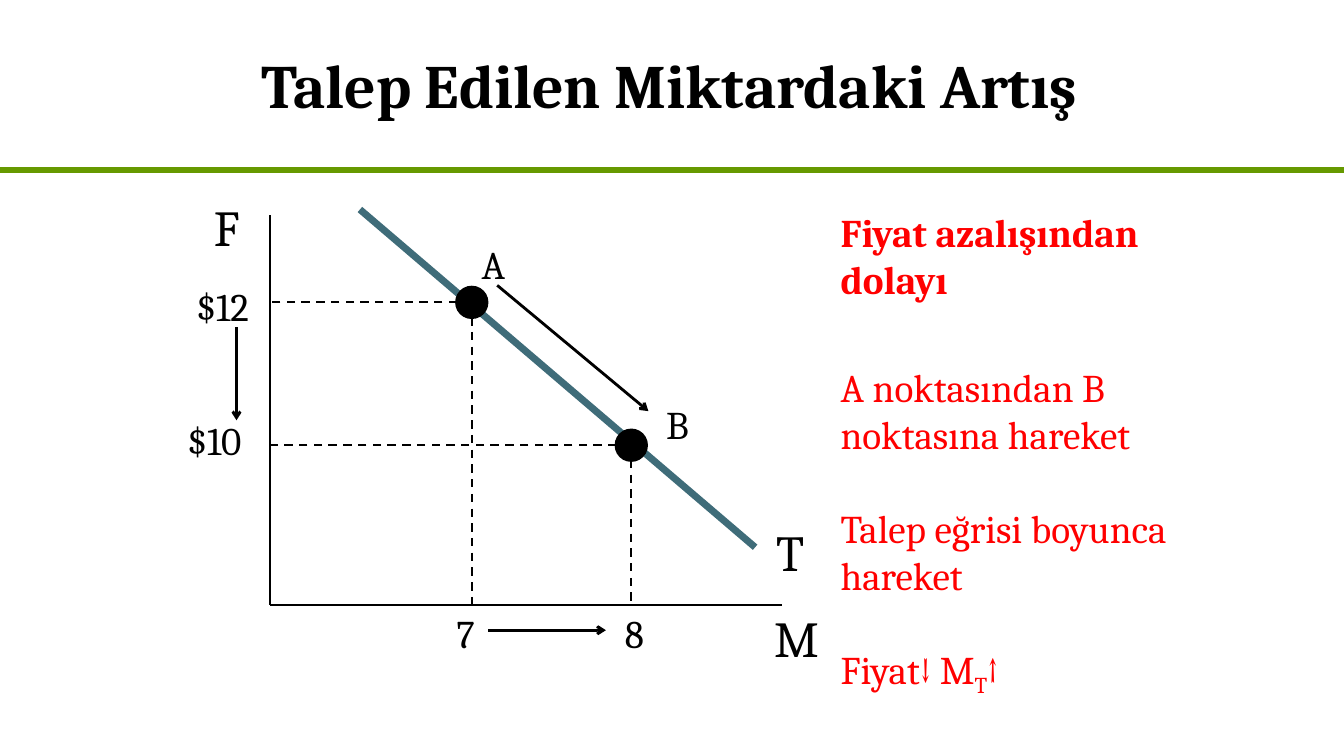
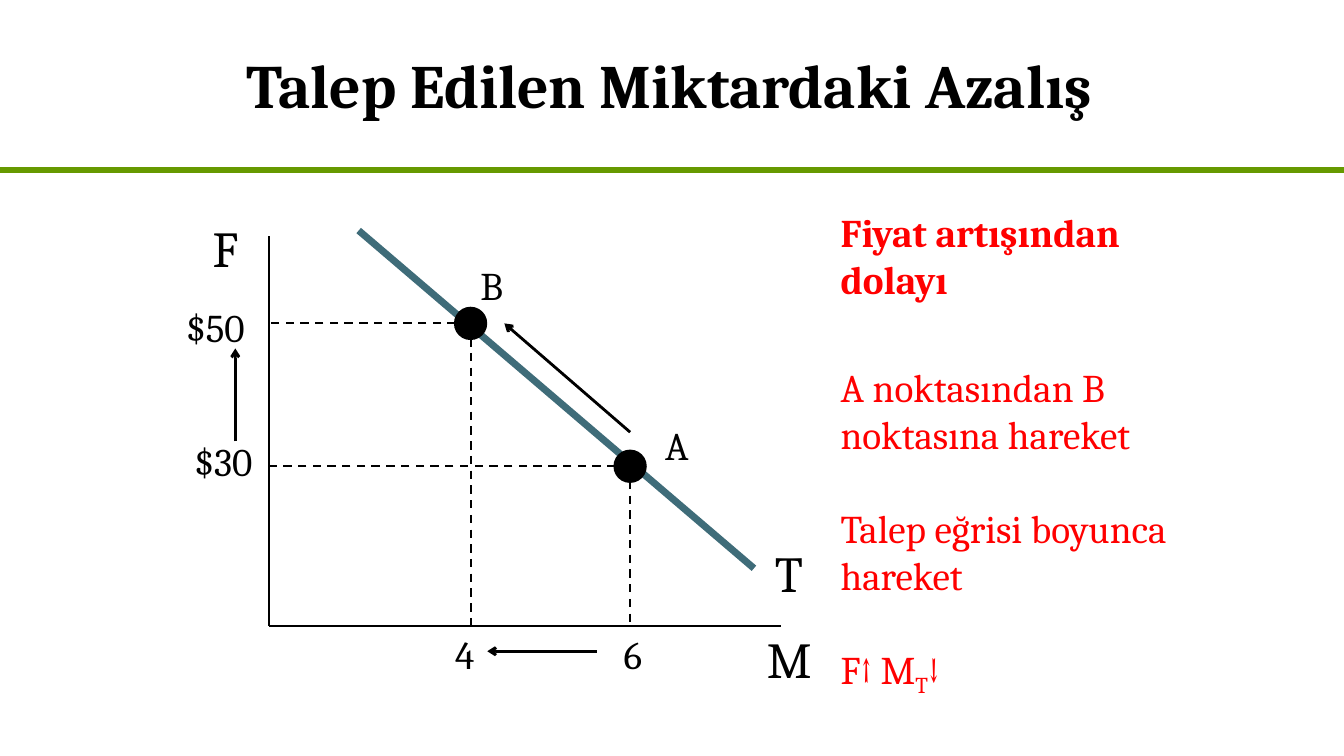
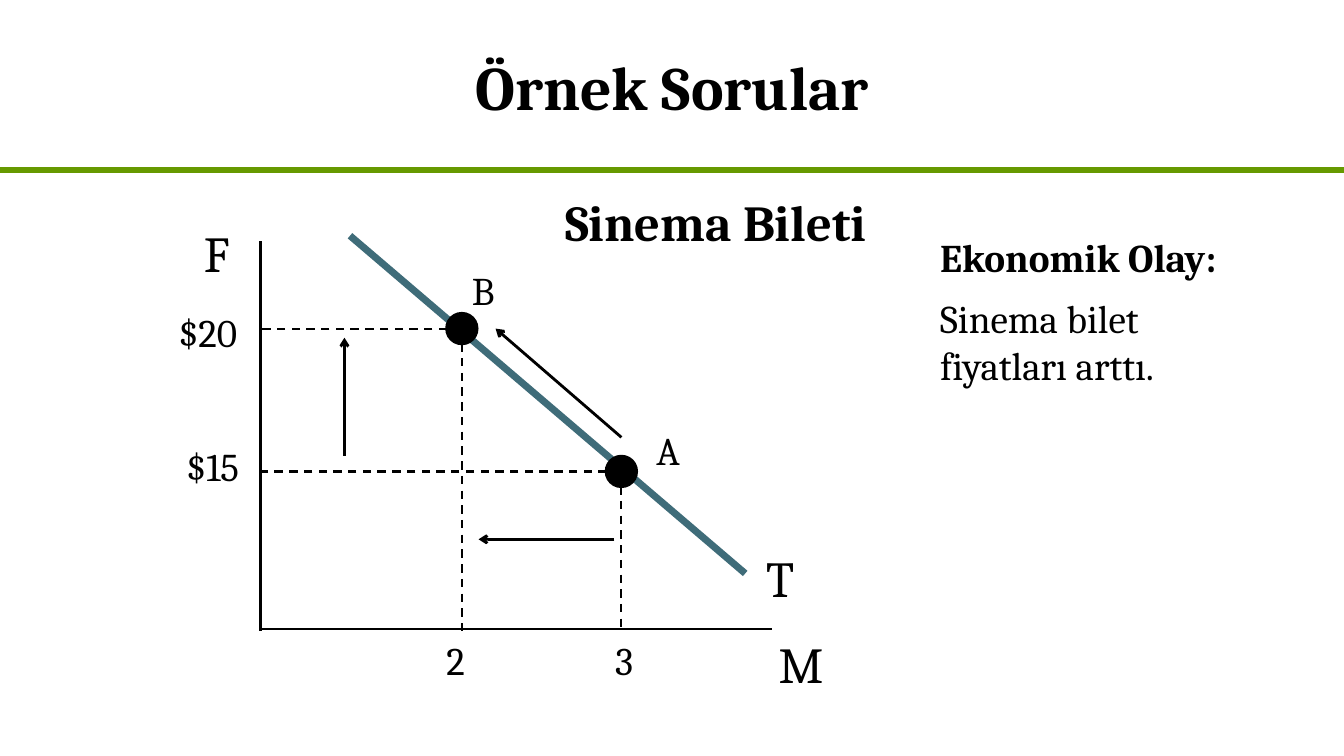
from dataclasses import dataclass

from lxml import etree
from pptx import Presentation
from pptx.dml.color import RGBColor
from pptx.enum.dml import MSO_LINE
from pptx.enum.shapes import MSO_CONNECTOR, MSO_SHAPE
from pptx.enum.text import MSO_ANCHOR, MSO_AUTO_SIZE, PP_ALIGN
from pptx.oxml.ns import qn
from pptx.util import Cm, Pt

STRAIGHT = MSO_CONNECTOR.STRAIGHT
OVAL = MSO_SHAPE.OVAL
DASH = MSO_LINE.DASH
LEFT, CENTER = PP_ALIGN.LEFT, PP_ALIGN.CENTER
TOP, MIDDLE = MSO_ANCHOR.TOP, MSO_ANCHOR.MIDDLE
NO_FIT = MSO_AUTO_SIZE.NONE


@dataclass(frozen=True)
class Theme:
    font: str = "Cambria"
    ink: str = "000000"
    note: str = "FF0000"
    band: str = "669900"
    curve: str = "3F6C79"
    title: int = 44
    axis: int = 36
    body: int = 28
    thin: float = 1.5
    arrow: float = 2
    demand: float = 5
    rule: float = 4.5


THEME = Theme()
WIDTH, HEIGHT = 33.87, 19.05
TITLE_BOX = (4.62, 0, 24.51, 4.24)
RULE_Y = 4.29

# Graph geometry in cm, measured from the origin of the axes
AXIS_TOP, AXIS_LENGTH = -9.82, 12.9
DEMAND = (2.26, -9.96, 12.22, -1.45)
UPPER, LOWER = (5.08, -7.62), (9.1, -4.02)
DOT = 0.84
SMALL_INSETS = (0.13, 0.05)


@dataclass
class Graph:
    origin: tuple
    points: tuple       # names of the upper and lower points
    prices: tuple       # upper and lower (label, left)
    quantities: tuple
    arrows: tuple       # each x1, y1, x2, y2
    m_left: float
    axis_width: float = THEME.arrow
    floor: float = 0    # shift of the horizontal axis


# Text and lines
def write(tf, paragraphs, size=THEME.body, color=THEME.ink, bold=False,
          align=LEFT, anchor=TOP, insets=None):
    """Each paragraph is (runs, space after, bold); a run is text or (text, baseline)."""
    tf.word_wrap, tf.auto_size, tf.vertical_anchor = True, NO_FIT, anchor
    if insets:
        tf.margin_left = tf.margin_right = Cm(insets[0])
        tf.margin_top = tf.margin_bottom = Cm(insets[1])
    if isinstance(paragraphs, str):
        paragraphs = [([paragraphs], 0, bold)]
    for i, (runs, after, strong) in enumerate(paragraphs):
        p = tf.add_paragraph() if i else tf.paragraphs[0]
        p.alignment, p.space_before, p.space_after = align, Pt(0), Pt(after)
        for run in runs:
            text, baseline = (run, None) if isinstance(run, str) else run
            r = p.add_run()
            r.text = text
            r.font.name, r.font.size, r.font.bold = THEME.font, Pt(size), strong
            r.font.color.rgb = RGBColor.from_string(color)
            if baseline:
                r.font._element.set("baseline", str(baseline))


def place(shape, box):
    shape.left, shape.top, shape.width, shape.height = map(Cm, box)


def label(s, text, box, **fmt):
    write(s.shapes.add_textbox(*map(Cm, box)).text_frame, text, **fmt)


def line(s, ends, color=THEME.ink, width=THEME.thin, dash=None, arrow=False):
    c = s.shapes.add_connector(STRAIGHT, *map(Cm, ends))
    c.line.color.rgb = RGBColor.from_string(color)
    c.line.width = Pt(width)
    if dash:
        c.line.dash_style = dash
    if arrow:
        etree.SubElement(c.line._get_or_add_ln(), qn("a:tailEnd"), type="arrow")
    etree.SubElement(c.element.spPr, qn("a:effectLst"))
    return c


# Slide regions
def new_slide(prs, title, box=TITLE_BOX):
    s = prs.slides.add_slide(prs.slide_layouts[1])
    place(s.shapes.title, box)
    write(s.shapes.title.text_frame, title, size=THEME.title, bold=True,
          align=CENTER, anchor=MIDDLE)
    return s


def share_rule(prs, s):
    """Puts the green rule on the master, behind every slide."""
    rule = line(s, (0, RULE_Y, WIDTH, RULE_Y), THEME.band, THEME.rule)
    prs.slide_master.shapes.element.append(rule.element)


def notes_body(s, box, paragraphs, color=THEME.ink):
    body = s.placeholders[1]
    place(body, box)
    write(body.text_frame, paragraphs, color=color)
    for p in body.text_frame.paragraphs:
        pPr = p._p.get_or_add_pPr()
        pPr.set("marL", "0")
        pPr.set("indent", "0")
        etree.SubElement(pPr, qn("a:buNone"))


def demand_graph(s, g):
    ox, oy = g.origin

    def at(x, y, *size):
        return (ox + x, oy + y, *size)

    def ends(x1, y1, x2, y2):
        return at(x1, y1) + at(x2, y2)

    # Axes and demand curve
    line(s, ends(0, AXIS_TOP, 0, 0), width=g.axis_width)
    line(s, ends(0, g.floor, AXIS_LENGTH, g.floor))
    line(s, ends(*DEMAND), THEME.curve, THEME.demand)
    for text, x, y in (("F", -1.55, -10.36), ("M", g.m_left, 0), ("T", 12.62, -2.16)):
        label(s, text, at(x, y, 1.55, 1.5), size=THEME.axis, insets=SMALL_INSETS)

    # Points with their guides and labels
    rows = zip((UPPER, LOWER), g.points, ((0, -1.7), (0.63, -1.26)),
               g.prices, (-8.26, -4.88), g.quantities, (4.44, 8.69))
    for (x, y), name, (dx, dy), (price, left), top, quantity, q_left in rows:
        line(s, ends(x, y, 0, y), dash=DASH)
        line(s, ends(x, y, x, 0), dash=DASH)
        dot = s.shapes.add_shape(
            OVAL, *map(Cm, at(x - DOT / 2, y - DOT / 2, DOT, DOT)))
        dot.shadow.inherit = False
        dot.fill.solid()
        dot.fill.fore_color.rgb = RGBColor.from_string(THEME.ink)
        dot.line.fill.background()
        label(s, name, at(x + dx, y + dy, 1.4, 1.47))
        label(s, price, at(left, top, 2.3, 1.47))
        label(s, quantity, at(q_left, 0, 1.9, 1.47))

    # Directions of change
    for arrow in g.arrows:
        line(s, ends(*arrow), width=THEME.arrow, arrow=True)


def movement_notes(cause, result):
    return [([cause], 43.5, True),
            (["A noktasından B noktasına hareket"], 33.5, False),
            (["Talep eğrisi boyunca hareket"], 33.5, False),
            (result, 0, False)]


def main():
    prs = Presentation()
    prs.slide_width, prs.slide_height = Cm(WIDTH), Cm(HEIGHT)
    climb = (9.1, -4.88, 5.93, -7.62)

    # Increase in quantity demanded
    s = new_slide(prs, "Talep Edilen Miktardaki Artış")
    share_rule(prs, s)
    notes_body(s, (20.93, 5.11, 10.82, 12.73), movement_notes(
        "Fiyat azalışından dolayı", ["Fiyat↓ M", ("T", -25000), "↑"]), THEME.note)
    demand_graph(s, Graph(
        (6.81, 15.24), ("A", "B"), (("$12", -2.11), ("$10", -2.34)), ("7", "8"),
        ((5.72, -8.05, 9.53, -4.88), (-0.85, -6.99, -0.85, -4.65),
         (5.5, 0.64, 8.46, 0.64)),
        m_left=12.57, axis_width=THEME.thin))

    # Decrease in quantity demanded
    s = new_slide(prs, "Talep Edilen Miktardaki Azalış")
    notes_body(s, (20.93, 5.11, 9.8, 12.73), movement_notes(
        "Fiyat artışından dolayı", ["F↑ M", ("T", -25000), "↓"]), THEME.note)
    demand_graph(s, Graph(
        (6.78, 15.77), ("B", "A"), (("$50", -2.34), ("$30", -2.13)), ("4", "6"),
        (climb, (-0.85, -4.65, -0.85, -6.99), (8.26, 0.64, 5.5, 0.64)),
        m_left=12.42))

    # Sample question
    s = new_slide(prs, "Örnek Sorular", (5.51, 0.05, 22.86, 4.24))
    label(s, "Sinema Bileti", (13.99, 4.7, 9.09, 1.5), size=THEME.axis, bold=True)
    notes_body(s, (23.44, 5.74, 8.26, 6.15), [
        (["Ekonomik Olay:"], 10, True),
        (["Sinema bilet fiyatları arttı."], 0, False)])
    demand_graph(s, Graph(
        (6.56, 15.9), ("B", "A"), (("$20", -2.31), ("$15", -2.11)), ("2", "3"),
        (climb, (2.12, -4.42, 2.12, -7.39), (8.92, -2.31, 5.5, -2.31)),
        m_left=12.93, floor=-0.05))

    prs.save("out.pptx")


if __name__ == "__main__":
    main()
